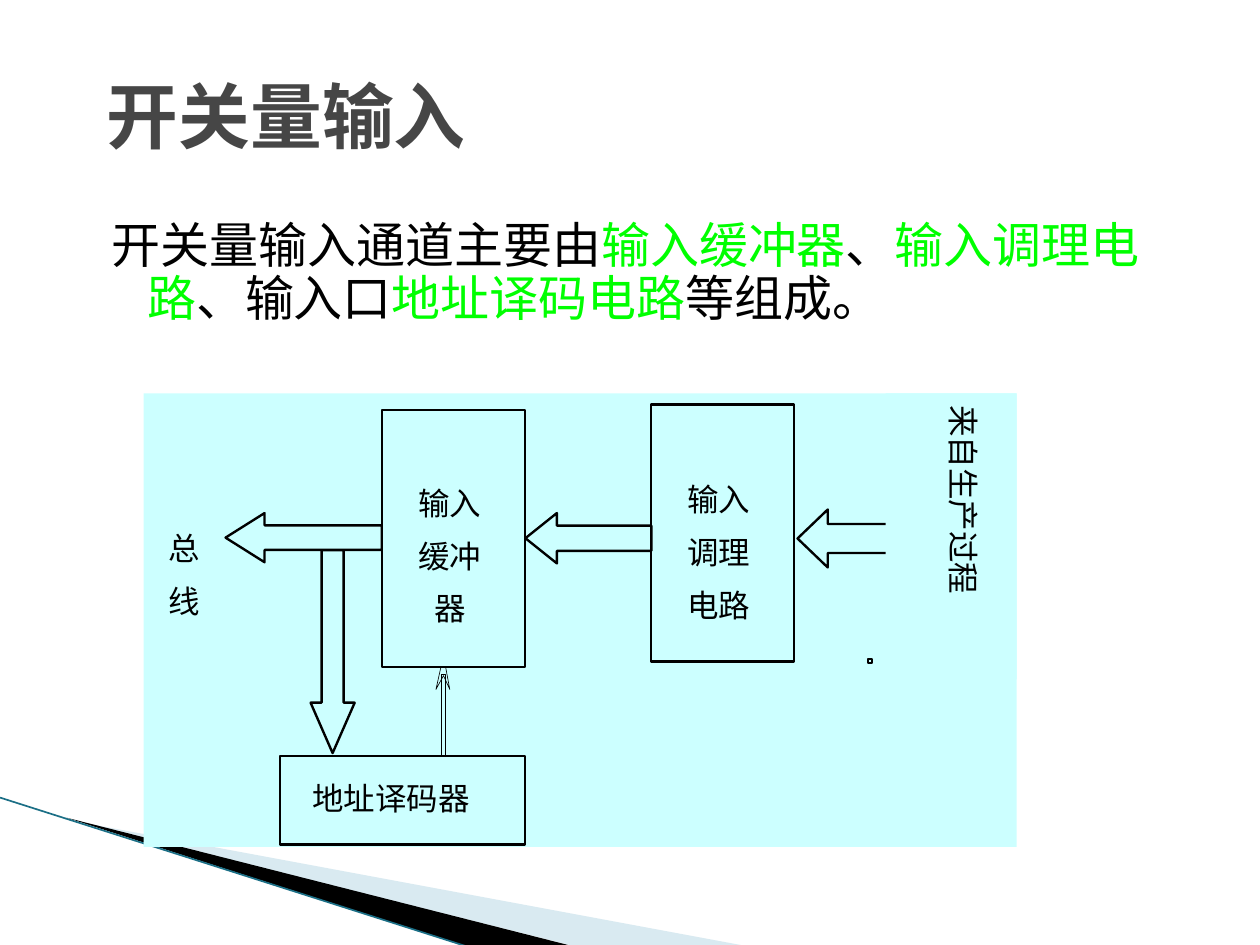
from lxml.etree import SubElement
from pptx import Presentation
from pptx.dml.color import RGBColor
from pptx.enum.shapes import MSO_CONNECTOR, MSO_SHAPE
from pptx.enum.text import MSO_ANCHOR, PP_ALIGN
from pptx.oxml.ns import qn
from pptx.util import Inches, Pt

BLACK = RGBColor(0x00, 0x00, 0x00)
GREY = RGBColor(0x46, 0x46, 0x46)
GREEN = RGBColor(0x00, 0xFF, 0x00)
CYAN = RGBColor(0xCC, 0xFF, 0xFF)
PALE = RGBColor(0xA0, 0xCB, 0xDC)
TEAL = RGBColor(0x1B, 0x6F, 0x86)
CJK = "Noto Sans CJK SC"
MONO = "DejaVu Sans Mono"
UNIT = Inches(0.1)
CHAR = 2.5
STEP = 4.18


def grid(box, *xy):
    """Turn grid units inside a box into slide lengths."""
    return [round((v + box[i % 2]) * UNIT) for i, v in enumerate(xy)]


def paint(sp, fill, line=None, width=1.37):
    """Give a shape its fill and outline."""
    sp.shadow.inherit = False
    sp.fill.solid()
    sp.fill.fore_color.rgb = fill
    if line is None:
        sp.line.fill.background()
    else:
        sp.line.color.rgb = line
        sp.line.width = Pt(width)


def set_font(p, size, color, latin=CJK, bold=False):
    """Set the font of a whole paragraph."""
    f = p.font
    f.size, f.bold, f.name = Pt(size), bold, latin
    f.color.rgb = color
    ea = SubElement(p._p.pPr.find(qn("a:defRPr")), qn("a:ea"))
    ea.set("typeface", CJK)


def add_block(s, box, x, y, w, h, line=None, kind=MSO_SHAPE.RECTANGLE):
    """Add a preset shape at grid units inside a box."""
    left, top = grid(box, x, y)
    sp = s.shapes.add_shape(kind, left, top, round(w * UNIT), round(h * UNIT))
    paint(sp, CYAN, line)
    return sp


def add_arrow(s, box, x, y, w, h, head, kind=MSO_SHAPE.LEFT_ARROW):
    """Add a block arrow whose head has the given length."""
    sp = add_block(s, box, x, y, w, h, BLACK, kind)
    sp.adjustments[0] = 0.5
    sp.adjustments[1] = head / min(w, h)


def add_outline(s, box, *contours):
    """Add a freeform made of closed contours."""
    first = [grid(box, *pt) for pt in contours[0]]
    fb = s.shapes.build_freeform(*first[0])
    fb.add_line_segments(first[1:], close=True)
    for contour in contours[1:]:
        pts = [grid(box, *pt) for pt in contour]
        fb.move_to(*pts[0])
        fb.add_line_segments(pts[1:], close=True)
    return fb.convert_to_shape()


def add_labels(s, box, cx, top, lines, rotation=0):
    """Stack one-line labels centred on a column."""
    for i, text in enumerate(lines):
        w = CHAR * len(text)
        sp = add_block(s, box, cx - w / 2, top + i * STEP, w, 3)
        sp.rotation = rotation
        tf = sp.text_frame
        tf.word_wrap = False
        tf.vertical_anchor = MSO_ANCHOR.TOP
        tf.margin_left = tf.margin_right = tf.margin_top = tf.margin_bottom = 0
        p = tf.paragraphs[0]
        p.text = text
        p.alignment = PP_ALIGN.CENTER
        set_font(p, 18, BLACK)


def add_text_frame(s, box):
    """Add a wrapping text box and return its frame."""
    tf = s.shapes.add_textbox(*[round(v * UNIT) for v in box]).text_frame
    tf.word_wrap = True
    return tf


def add_corner(s, box):
    """Draw the swept wedges in the lower corner."""
    pale = add_outline(s, box, [(5.5, 1.8), (59.3, 11.8), (45.6, 11.8)])
    paint(pale, PALE)
    color = pale.fill._xPr.find(qn("a:solidFill"))[0]
    SubElement(color, qn("a:alpha")).set("val", "40000")
    paint(add_outline(s, box, [(5.3, 1.6), (45.5, 11.8), (37, 11.8)]), BLACK)
    edge = s.shapes.add_connector(MSO_CONNECTOR.STRAIGHT, *grid(box, 0, 0, 37, 11.8))
    edge.line.color.rgb = TEAL
    edge.line.width = Pt(0.95)
    SubElement(edge._element.spPr, qn("a:effectLst"))


def add_title(s, box):
    """Write the slide title."""
    tf = add_text_frame(s, box)
    tf.vertical_anchor = MSO_ANCHOR.MIDDLE
    p = tf.paragraphs[0]
    p.text = "开关量输入"
    set_font(p, 41, GREY, MONO, True)


def add_body(s, box):
    """Write the sentence with its highlighted terms."""
    p = add_text_frame(s, box).paragraphs[0]
    p.line_spacing = 0.9
    pPr = p._p.get_or_add_pPr()
    pPr.set("marL", str(Inches(0.4)))
    pPr.set("indent", str(Inches(-0.28)))
    set_font(p, 28, BLACK)
    parts = ["开关量输入通道主要由", "输入缓冲器", "、", "输入调理电路",
             "、输入口", "地址译码电路", "等组成。"]
    for i, text in enumerate(parts):
        r = p.add_run()
        r.text = text
        r.font.color.rgb = GREEN if i % 2 else BLACK


def add_diagram(s, box):
    """Draw the input channel from process to bus."""
    add_block(s, box, 0, 0, *box[2:])
    thin = add_outline(s, box,
                       [(23.65, 31.3), (23.65, 22.3), (23.95, 22.3), (23.95, 31.3)],
                       [(23.8, 22.4), (23.2, 23.5), (23.8, 20.8), (24.3, 23.5)])
    paint(thin, CYAN, BLACK, 0.37)
    for x, y, w, h in [(18.9, 1.3, 11.35, 20.4), (40.27, 0.9, 11.35, 20.4),
                       (10.83, 28.8, 19.42, 7), (57.5, 21.1, 0.3, 0.3)]:
        add_block(s, box, x, y, w, h, BLACK)
    add_arrow(s, box, 51.9, 9.22, 9.7, 4.6, 2.4)
    add_arrow(s, box, 30.3, 9.5, 10, 4, 2.5)
    add_arrow(s, box, 6.5, 9.5, 12.4, 3.9, 3.1)
    add_arrow(s, box, 13.25, 12.45, 3.5, 16.1, 4, MSO_SHAPE.DOWN_ARROW)
    add_block(s, box, 58.9, 0, 10.4, 22.7)
    add_labels(s, box, 3.25, 10.8, ["总", "线"])
    add_labels(s, box, 24.3, 7.2, ["输入", "缓冲", "器"])
    add_labels(s, box, 45.65, 6.9, ["输入", "调理", "电路"])
    add_labels(s, box, 19.65, 30.6, ["地址译码器"])
    add_labels(s, box, 65.1, 6.95, ["来自生产过程"], 90)


def main():
    """Build the slide and save it."""
    prs = Presentation()
    prs.slide_width, prs.slide_height = 100 * UNIT, 75 * UNIT
    s = prs.slides.add_slide(prs.slide_layouts[6])
    add_corner(s, (0, 63.3, 59.3, 11.8))
    add_body(s, (6.7, 17.07, 85, 10.3))
    add_title(s, (7.5, 2.85, 85, 12.5))
    add_diagram(s, (11.4, 31.22, 69.3, 36))
    prs.save("out.pptx")


if __name__ == "__main__":
    main()
